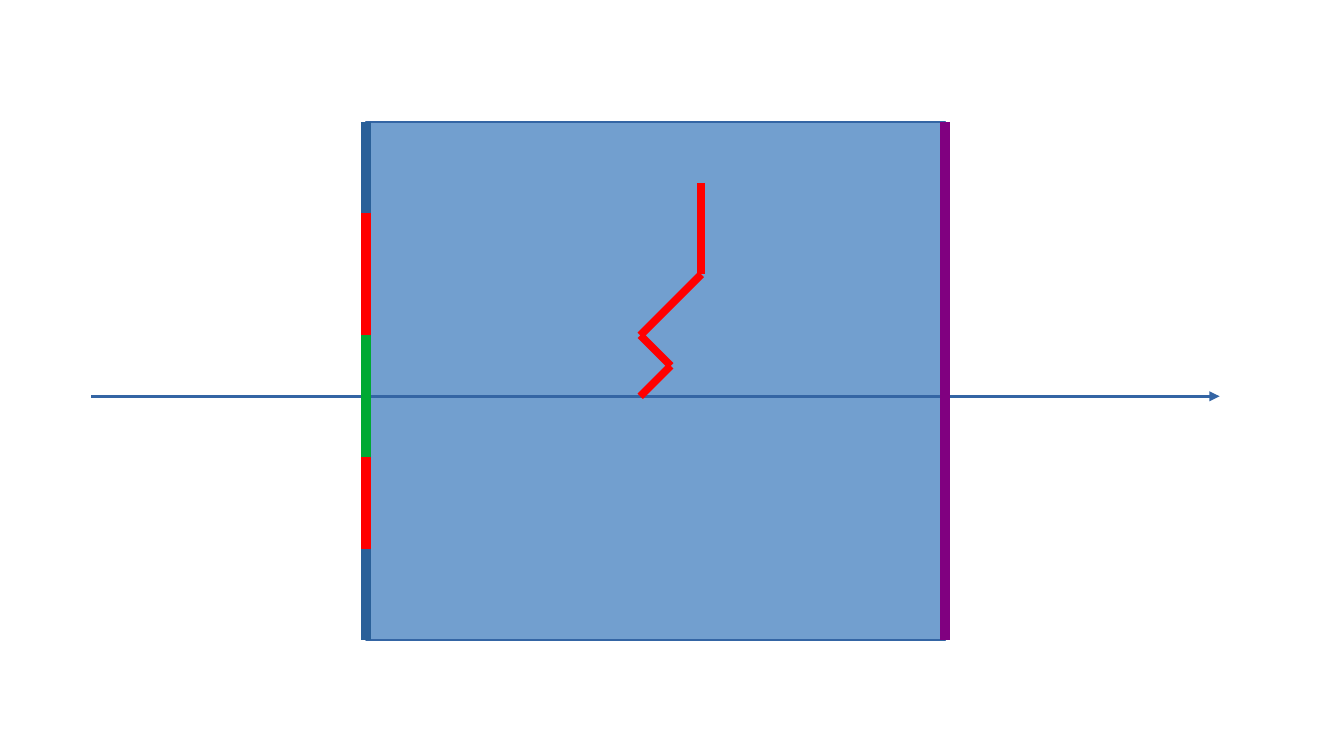
import itertools

import lxml.etree
import pptx
import pptx.dml.color
import pptx.enum.shapes
import pptx.oxml.ns
import pptx.util

Inches = pptx.util.Inches
RGBColor = pptx.dml.color.RGBColor

BLOCK_FILL = RGBColor(0x72, 0x9F, 0xCF)
OUTLINE = RGBColor(0x34, 0x65, 0xA4)
RED = RGBColor(0xFF, 0x00, 0x00)
PURPLE = RGBColor(0x80, 0x00, 0x80)
GREEN = RGBColor(0x00, 0xA9, 0x33)
NAVY = RGBColor(0x2A, 0x60, 0x99)

LEFT, RIGHT, TOP, BOTTOM = 3, 7.75, 1, 5.25
AXIS_Y = 3.25
HAIRLINE, TRACK_WIDTH, WALL_WIDTH = 0, 4.5, 6


class Diagram:
    """Draws the elements of the diagram on one page in a shared style."""

    def __init__(self, page):
        self.page = page

    def style_line(self, line, color, width):
        line.color.rgb = color
        line.width = pptx.util.Pt(width)

    def block(self, left, top, right, bottom):
        box = self.page.shapes.add_shape(
            pptx.enum.shapes.MSO_SHAPE.RECTANGLE,
            Inches(left), Inches(top), Inches(right - left), Inches(bottom - top))
        box.shadow.inherit = False
        box.fill.solid()
        box.fill.fore_color.rgb = BLOCK_FILL
        self.style_line(box.line, OUTLINE, HAIRLINE)

    def line(self, start, end, color, width):
        connector = self.page.shapes.add_connector(
            pptx.enum.shapes.MSO_CONNECTOR.STRAIGHT,
            *(Inches(value) for value in (*start, *end)))
        self.style_line(connector.line, color, width)
        properties = connector._element.spPr
        lxml.etree.SubElement(properties, pptx.oxml.ns.qn("a:effectLst"))
        return connector

    def arrow(self, start, end, color, width):
        connector = self.line(start, end, color, width)
        outline = connector._element.spPr.find(pptx.oxml.ns.qn("a:ln"))
        lxml.etree.SubElement(outline, pptx.oxml.ns.qn("a:tailEnd"), type="triangle")

    def track(self, points, color, width):
        for start, end in itertools.pairwise(points):
            self.line(start, end, color, width)

    def wall(self, x, top, bottom, color):
        self.line((x, top), (x, bottom), color, WALL_WIDTH)


def main():
    deck = pptx.Presentation()
    deck.slide_width, deck.slide_height = Inches(11.02), Inches(6.2)
    diagram = Diagram(deck.slides.add_slide(deck.slide_layouts[6]))

    diagram.block(LEFT, TOP, RIGHT, BOTTOM)
    diagram.arrow((0.75, AXIS_Y), (10, AXIS_Y), OUTLINE, HAIRLINE)
    track_points = [(5.25, AXIS_Y), (5.5, 3), (5.25, 2.75), (5.75, 2.25), (5.75, 1.5)]
    diagram.track(track_points, RED, TRACK_WIDTH)

    diagram.wall(RIGHT, TOP, BOTTOM, PURPLE)
    wall_stops = [TOP, 1.75, 2.75, 3.75, 4.5, BOTTOM]
    wall_colors = [NAVY, RED, GREEN, RED, NAVY]
    for (top, bottom), color in zip(itertools.pairwise(wall_stops), wall_colors):
        diagram.wall(LEFT, top, bottom, color)

    deck.save("out.pptx")


if __name__ == "__main__":
    main()
